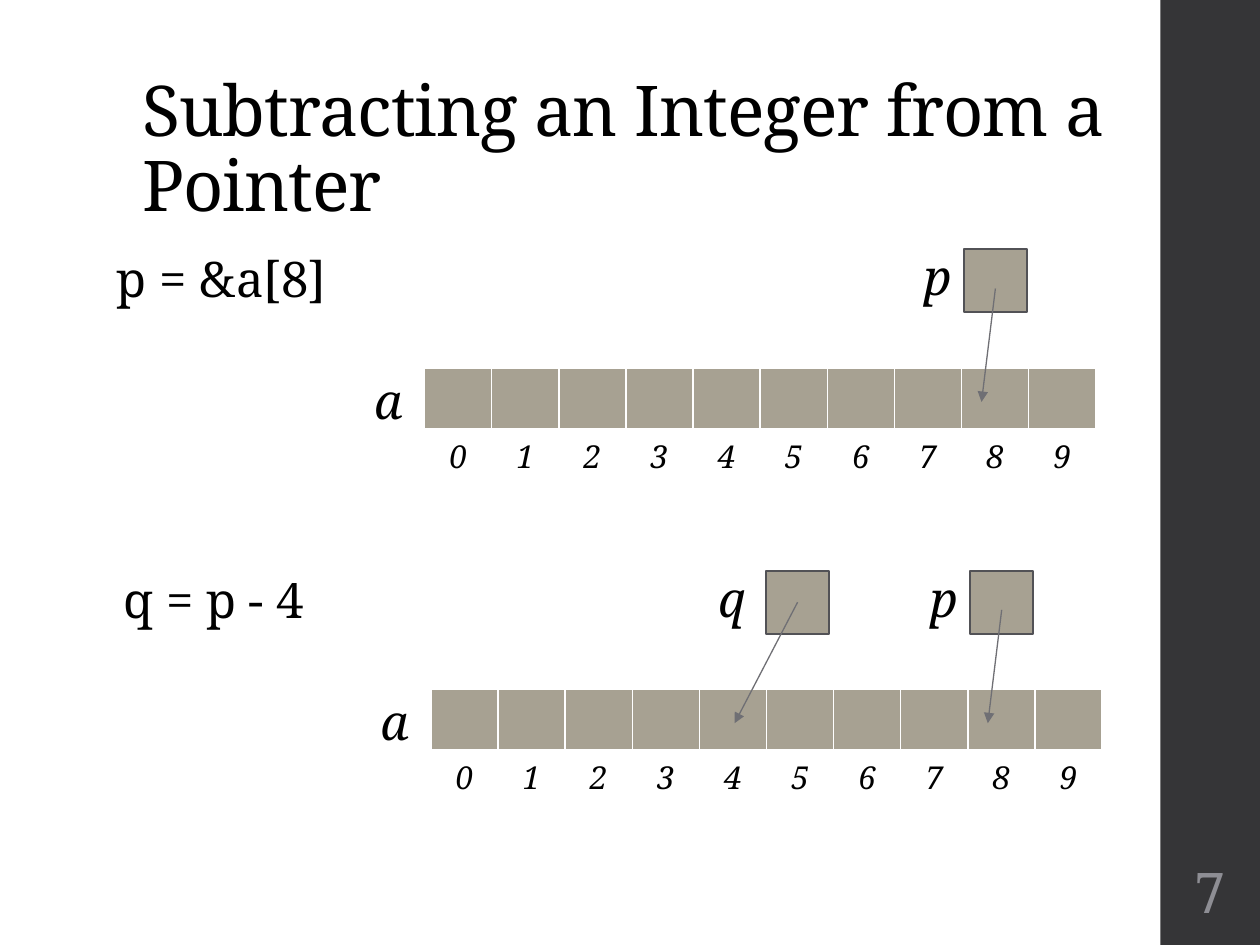
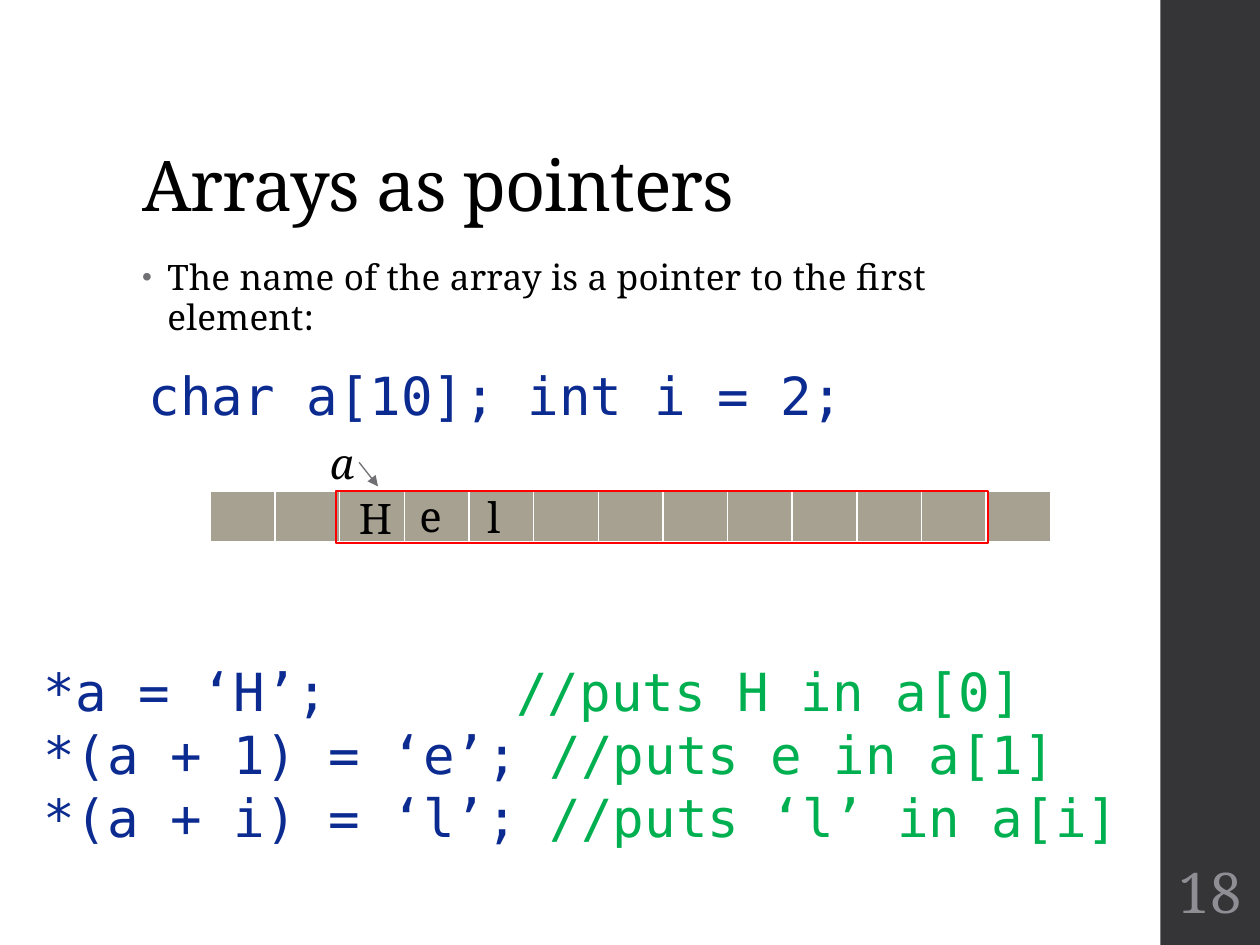
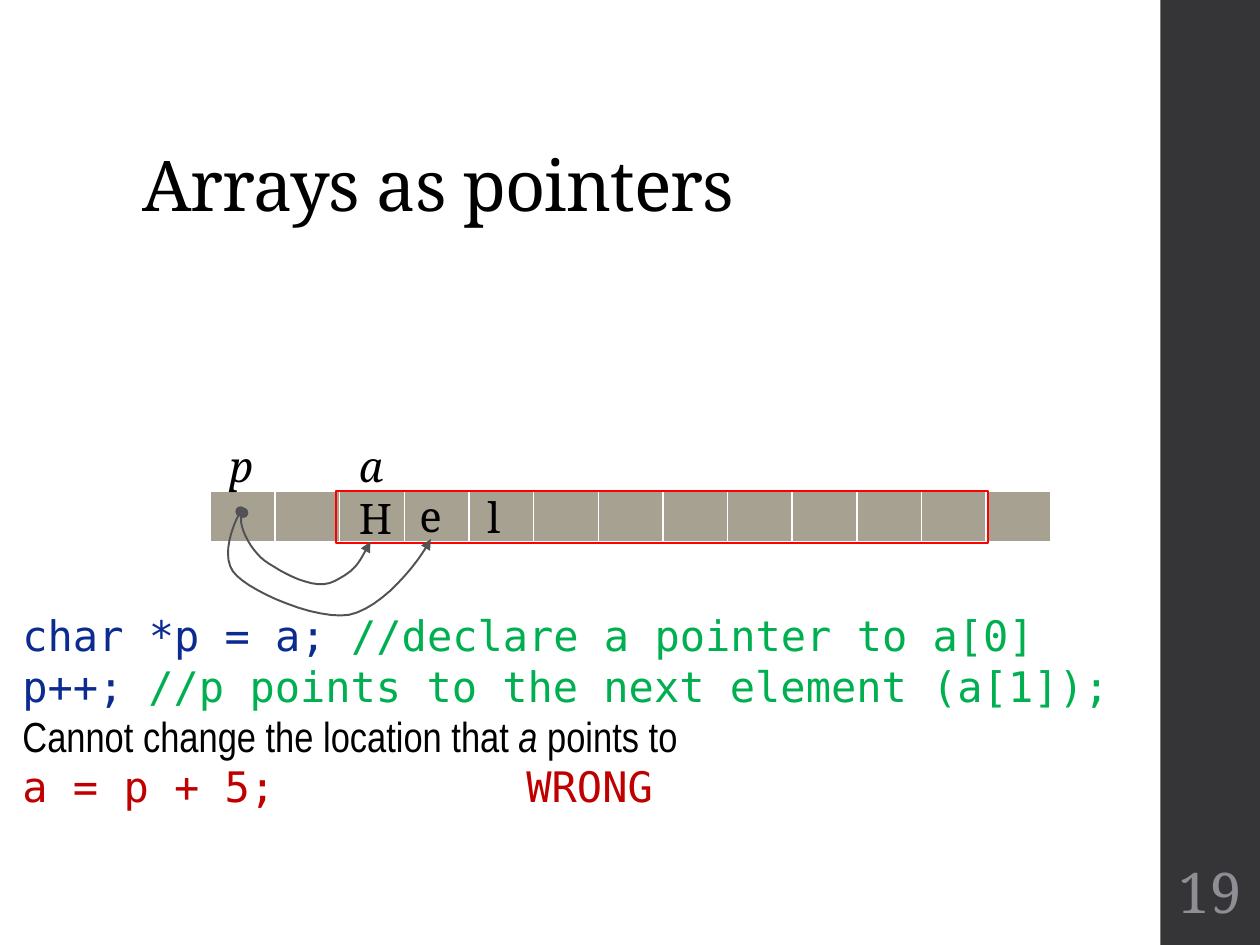
from lxml import etree
from pptx import Presentation, util as u
from pptx.dml.color import RGBColor
from pptx.enum import shapes, text
from pptx.oxml import ns

COLORS = {
    "band": "353537", "number": "8E8E94", "cell": "A7A192", "outline": "525256",
    "arrow": "6F6F74", "ink": "000000", "paper": "FFFFFF", "code": "0B2B91",
    "remark": "00B050", "wrong": "C00000", "frame": "FF0000",
}
SERIF, MONO, NARROW = "Noto Serif", "DejaVu Sans Mono", "Arial Narrow"
WIDTH, HEIGHT = 10, 7.5
CELL = 5.33 / 10
STRIP_LEFT, STRIP_TOP, STRIP_ROW = 1.67, 3.9, 0.41
CURVE_UNITS = 1000


def inches(*lengths):
    return [u.Inches(length) for length in lengths]


def rgb(color):
    return RGBColor.from_string(COLORS[color])


def child(parent, tag, **attributes):
    return etree.SubElement(parent, ns.qn(tag), attributes)


def add_run(paragraph, words, size, color="ink", font=SERIF, italic=False, spacing=0):
    run = paragraph.add_run()
    run.text = words
    run.font.size = u.Pt(size)
    run.font.name = font
    run.font.italic = italic
    run.font.color.rgb = rgb(color)
    if spacing:
        run.font._element.set("spc", str(round(spacing * 100)))


def add_frame(slide, box, anchor=text.MSO_ANCHOR.TOP):
    frame = slide.shapes.add_textbox(*inches(*box)).text_frame
    frame.word_wrap = True
    frame.vertical_anchor = anchor
    return frame


def add_label(slide, left, top, words, size, width=0.75, italic=True):
    frame = add_frame(slide, (left, top, width, size / 48))
    add_run(frame.paragraphs[0], words, size, italic=italic)


def add_box(slide, box, fill=None, line=None):
    rect = slide.shapes.add_shape(shapes.MSO_SHAPE.RECTANGLE, *inches(*box))
    rect.shadow.inherit = False
    if fill:
        rect.fill.solid()
        rect.fill.fore_color.rgb = rgb(fill)
    else:
        rect.fill.background()
    if line:
        rect.line.color.rgb = rgb(line)
        rect.line.width = u.Pt(1.1)
    else:
        rect.line.fill.background()


def set_stroke(stroke, color, width, **ends):
    stroke.line.color.rgb = rgb(color)
    stroke.line.width = u.Pt(width)
    outline = stroke._element.spPr.find(ns.qn("a:ln"))
    for end, kind in ends.items():
        child(outline, f"a:{end}End", type=kind)


def add_arrow(slide, start, end):
    arrow = slide.shapes.add_connector(
        shapes.MSO_CONNECTOR.STRAIGHT, *inches(*start, *end))
    set_stroke(arrow, "arrow", 0.75, tail="triangle")
    child(arrow._element.spPr, "a:effectLst")


def bezier(points, steps=12):
    for step in range(1, steps + 1):
        t = step / steps
        weights = ((1 - t) ** 3, 3 * t * (1 - t) ** 2, 3 * t * t * (1 - t), t ** 3)
        yield tuple(sum(w * p[axis] for w, p in zip(weights, points)) for axis in (0, 1))


def add_curve(slide, points):
    scaled = [(x * CURVE_UNITS, y * CURVE_UNITS) for x, y in points]
    vertices = [vertex for first in range(0, len(scaled) - 1, 3)
                for vertex in bezier(scaled[first:first + 4])]
    builder = slide.shapes.build_freeform(*scaled[0], scale=u.Inches(1) / CURVE_UNITS)
    builder.add_line_segments(vertices, close=False)
    curve = builder.convert_to_shape()
    curve.shadow.inherit = False
    curve.fill.background()
    set_stroke(curve, "outline", 1.1, head="oval", tail="triangle")


def add_cells(slide, left, top, width, height, values, fill, bordered):
    table = slide.shapes.add_table(
        1, len(values), *inches(left, top, width, height)).table
    table.first_row = table.horz_banding = False
    for column in table.columns:
        column.width = u.Inches(width / len(values))
    for cell, value in zip(table.rows[0].cells, values):
        if bordered:
            for side, weight in (("L", 1), ("R", 1), ("T", 1), ("B", 3)):
                border = child(cell._tc.get_or_add_tcPr(), f"a:ln{side}",
                               w=str(u.Pt(weight)))
                child(child(border, "a:solidFill"), "a:srgbClr", val=COLORS["paper"])
            cell.margin_top = cell.margin_bottom = 0
        cell.fill.solid()
        cell.fill.fore_color.rgb = rgb(fill)
        if value:
            paragraph = cell.text_frame.paragraphs[0]
            paragraph.alignment = text.PP_ALIGN.CENTER
            add_run(paragraph, value, 18, italic=True)


def add_code(slide, box, lines, size, tabs):
    frame = add_frame(slide, box)
    for index, line in enumerate(lines):
        paragraph = frame.add_paragraph() if index else frame.paragraphs[0]
        stops = child(paragraph._p.get_or_add_pPr(), "a:tabLst")
        for tab in tabs:
            child(stops, "a:tab", pos=str(u.Inches(tab)), algn="l")
        for words, color, *style in line:
            font, italic = style or (MONO, False)
            add_run(paragraph, words, size, color, font, italic)


def add_bullet(slide, box, words):
    paragraph = add_frame(slide, box).paragraphs[0]
    paragraph.line_spacing = 0.95
    paragraph.space_before, paragraph.space_after = u.Pt(14), u.Pt(2)
    properties = paragraph._p.get_or_add_pPr()
    properties.set("marL", str(u.Inches(0.2)))
    properties.set("indent", str(-u.Inches(0.2)))
    child(child(properties, "a:buClr"), "a:srgbClr", val=COLORS["arrow"])
    child(properties, "a:buSzPct", val="80000")
    child(properties, "a:buFont", typeface="Arial")
    child(properties, "a:buChar", char="•")
    add_run(paragraph, words, 20, spacing=0.1)


def add_page(deck, title, number):
    slide = deck.slides.add_slide(deck.slide_layouts[6])
    add_box(slide, (9.21, 0, WIDTH - 9.21, HEIGHT), "band")
    heading = add_frame(slide, (1.03, 0.4, 7.95, 1.45), text.MSO_ANCHOR.BOTTOM)
    heading.paragraphs[0].line_spacing = 0.9
    add_run(heading.paragraphs[0], title, 40, spacing=-0.5)
    footer = add_frame(slide, (9.23, 6.75, 0.75, 0.65), text.MSO_ANCHOR.MIDDLE)
    footer.margin_left = footer.margin_right = u.Inches(0.03)
    footer.paragraphs[0].alignment = text.PP_ALIGN.CENTER
    add_run(footer.paragraphs[0], str(number), 32, "number")
    return slide


def add_pointer(slide, name, box_left, label_gap, top, start_drop, target):
    add_box(slide, (box_left, top - 0.94, 0.5, 0.5), "cell", "outline")
    add_label(slide, box_left - label_gap, top - 1.01, name, 28)
    add_arrow(slide, (box_left + 0.25, top - 0.94 + start_drop), (target, top + 0.27))


def add_indexed_array(slide, left, top, expression):
    add_cells(slide, left, top, 10 * CELL, 0.5, [""] * 10, "cell", True)
    add_cells(slide, left, top + 0.48, 10 * CELL, 0.41,
              [str(index) for index in range(10)], "paper", False)
    add_label(slide, left - 0.5, top - 0.03, "a", 28)
    add_label(slide, left - 2.54, top - 1, expression, 28, 2.08, False)
    add_pointer(slide, "p", left + 4.28, 0.42, top, 0.31, left + 4.42)


def add_memory_strip(slide):
    add_cells(slide, STRIP_LEFT, STRIP_TOP, 6.67, STRIP_ROW, [""] * 13, "cell", True)
    add_box(slide, (2.67, STRIP_TOP, 5.17, STRIP_ROW), line="frame")
    for letter, left, top in (("H", 2.75, 3.86), ("e", 3.23, 3.84), ("l", 3.77, 3.85)):
        add_label(slide, left, top, letter, 24, 0.41, False)


def subtraction_slide(deck):
    slide = add_page(deck, "Subtracting an Integer from a Pointer", 7)
    add_indexed_array(slide, 3.37, 2.92, "p = &a[8]")
    add_indexed_array(slide, 3.42, 5.47, "q = p - 4")
    add_pointer(slide, "q", 6.08, 0.48, 5.47, 0.25, 5.83)


def array_name_slide(deck):
    slide = add_page(deck, "Arrays as pointers", 18)
    add_bullet(slide, (1.03, 2, 7.05, 4.76),
               "The name of the array is a pointer to the first element:")
    add_code(slide, (1.08, 2.83, 6.25, 0.61),
             [[("char a[10]; int i = 2;", "code")]], 30, [])
    add_memory_strip(slide)
    add_label(slide, 2.52, 3.42, "a", 24, 0.58)
    add_arrow(slide, (2.85, 3.67), (3, 3.86))
    add_code(slide, (0.25, 5.18, 9.52, 1.62), [
        [("*a = ‘H’;\t", "code"), ("//puts H in a[0]", "remark")],
        [("*(a + 1) = ‘e’; ", "code"), ("//puts e in a[1]", "remark")],
        [("*(a + i) = ‘l’; ", "code"), ("//puts ‘l’ in a[i]", "remark")],
    ], 30, [3.75])


def moving_pointer_slide(deck):
    slide = add_page(deck, "Arrays as pointers", 19)
    add_memory_strip(slide)
    for name, left in (("p", 1.72), ("a", 2.75)):
        add_label(slide, left, 3.45, name, 24, 0.58)
    add_code(slide, (0.08, 4.79, 9.33, 1.72), [
        [("char *p = a; ", "code"), ("//declare a pointer to a[0] ", "remark")],
        [("p++;\t", "code"), ("//p points to the next element (a[1]);", "remark")],
        [("Cannot change the location that ", "ink", NARROW, False),
         ("a", "ink", NARROW, True), (" points to", "ink", NARROW, False)],
        [("a = p + 5;\tWRONG", "wrong")],
    ], 24, [1, 4])
    add_curve(slide, [(1.93, 4.07), (1.87, 4.14), (1.98, 4.36), (2.1, 4.45),
                      (2.23, 4.54), (2.5, 4.7), (2.66, 4.61),
                      (2.83, 4.52), (2.84, 4.48), (2.94, 4.3)])
    add_curve(slide, [(1.91, 4.06), (1.86, 4.14), (1.73, 4.44), (1.88, 4.57),
                      (2.02, 4.71), (2.51, 4.92), (2.77, 4.88),
                      (3.03, 4.83), (3.32, 4.47), (3.42, 4.28)])


def main():
    deck = Presentation()
    deck.slide_width, deck.slide_height = inches(WIDTH, HEIGHT)
    subtraction_slide(deck)
    array_name_slide(deck)
    moving_pointer_slide(deck)
    deck.save("out.pptx")


main()
